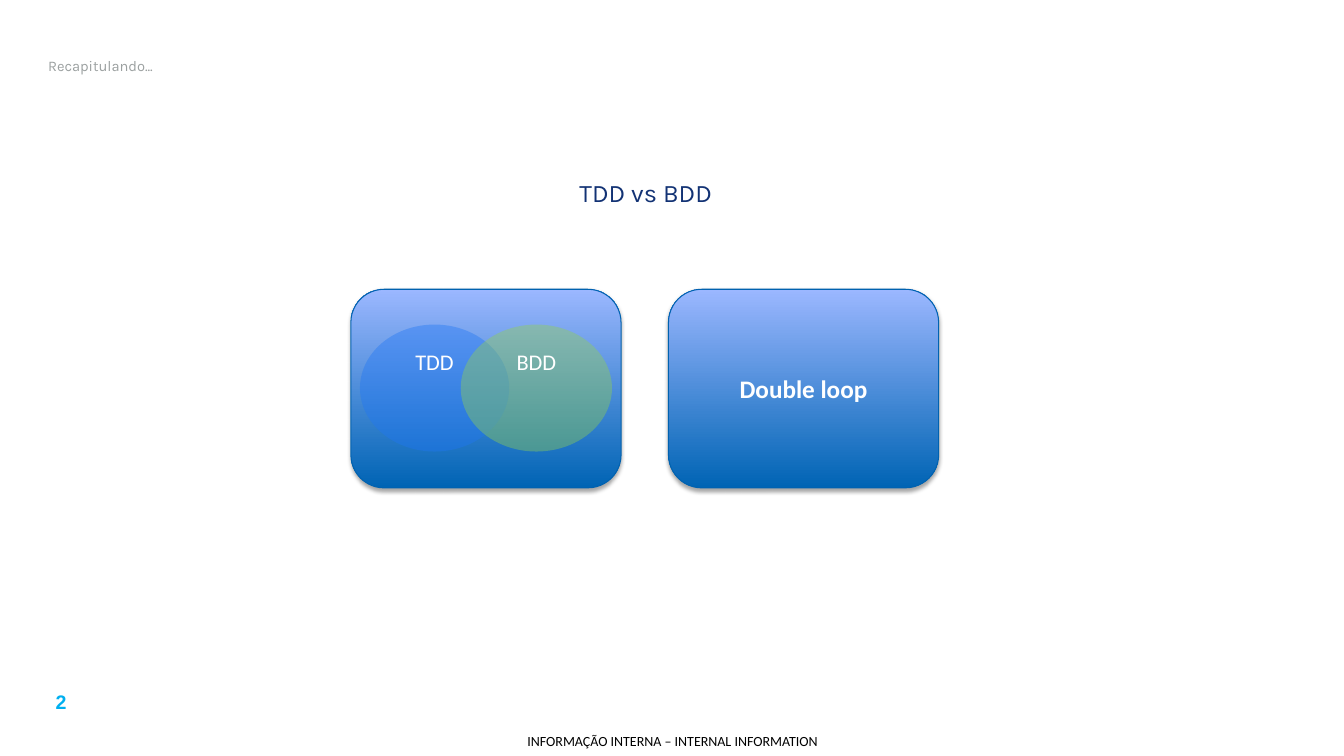
"""Build the TDD vs BDD recap slide."""
from lxml import etree
from pptx import Presentation
from pptx.dml.color import RGBColor
from pptx.enum import shapes, text
from pptx.oxml import ns
from pptx.util import Inches, Pt

WHITE = RGBColor(0xFF, 0xFF, 0xFF)
BLACK = RGBColor(0, 0, 0)
NAVY = RGBColor(0x12, 0x32, 0x74)
GREY = RGBColor(0x9B, 0xA0, 0xA0)
CYAN = RGBColor(0x00, 0xB0, 0xF0)
CARD_BOTTOM = RGBColor(0x00, 0x64, 0xB4)
CARD_TOP = RGBColor(0x9B, 0xB7, 0xFF)
CARD_EDGE = RGBColor(0x00, 0x62, 0xB0)
TDD_BLUE = RGBColor(0x1F, 0x76, 0xF5)
BDD_GREEN = RGBColor(0x92, 0xD0, 0x50)

CENTER = text.PP_ALIGN.CENTER
MIDDLE = text.MSO_ANCHOR.MIDDLE
TOP = text.MSO_ANCHOR.TOP


def write(shape, wording, font, size, color, bold=False, align=CENTER, anchor=MIDDLE):
    """Put one formatted paragraph into a shape."""
    frame = shape.text_frame
    frame.text = wording
    frame.word_wrap = True
    frame.vertical_anchor = anchor
    paragraph = frame.paragraphs[0]
    paragraph.alignment = align
    style = paragraph.runs[0].font
    style.name, style.size, style.bold = font, Pt(size), bold
    style.color.rgb = color


def add_label(slide, box, wording, font, size, color, **options):
    """Add a text box and return it."""
    label = slide.shapes.add_textbox(*map(Inches, box))
    write(label, wording, font, size, color, **options)
    return label


def add_alpha(color_element, percent):
    """Make a colour element partly transparent."""
    etree.SubElement(color_element, ns.qn("a:alpha"), val=str(percent * 1000))


def add_card(slide, left):
    """Add a rounded gradient card with a soft shadow below."""
    card = slide.shapes.add_shape(
        shapes.MSO_SHAPE.ROUNDED_RECTANGLE,
        Inches(left), Inches(2.87), Inches(2.68), Inches(1.97))
    card.fill.gradient()
    card.fill.gradient_angle = 90
    for stop, color in zip(card.fill.gradient_stops, (CARD_BOTTOM, CARD_TOP)):
        stop.color.rgb = color
    card.line.color.rgb = CARD_EDGE
    card.line.width = Pt(0.75)
    card.shadow.inherit = False
    effects = card.element.spPr.find(ns.qn("a:effectLst"))
    shadow = etree.SubElement(
        effects, ns.qn("a:outerShdw"), blurRad=str(Pt(3.1)), dist=str(Pt(1.8)),
        dir="5400000", rotWithShape="0")
    add_alpha(etree.SubElement(shadow, ns.qn("a:srgbClr"), val="000000"), 35)
    return card


def add_circle(venn, left, width, wording, color):
    """Add one translucent ellipse of the Venn diagram."""
    circle = venn.shapes.add_shape(
        shapes.MSO_SHAPE.OVAL, Inches(left), Inches(3.22), Inches(width), Inches(1.26))
    circle.shadow.inherit = False
    circle.fill.solid()
    circle.fill.fore_color.rgb = color
    add_alpha(circle.element.spPr.find(".//" + ns.qn("a:srgbClr")), 40)
    circle.line.fill.background()
    write(circle, wording, "Calibri", 16, WHITE, anchor=TOP)


def main():
    """Compose and save the slide."""
    deck = Presentation()
    deck.slide_width, deck.slide_height = Inches(13.33), Inches(7.5)
    slide = deck.slides.add_slide(deck.slide_layouts[6])

    add_label(slide, (0.21, 6.8, 0.79, 0.34), "2", "Arial", 14, CYAN, bold=True, anchor=TOP)
    notice = add_label(slide, (5.03, 7.21, 3.28, 0.29),
                       "INFORMAÇÃO INTERNA – INTERNAL INFORMATION", "Calibri", 10, BLACK)
    frame = notice.text_frame
    frame.margin_left = frame.margin_right = frame.margin_top = frame.margin_bottom = 0

    add_card(slide, 3.48)
    add_label(slide, (0.37, 1.56, 12.07, 0.69), "TDD vs BDD", "Karla", 18, NAVY)
    add_label(slide, (0.38, 0.41, 11.88, 0.48), "Recapitulando...", "Karla", 10.5, GREY,
              align=text.PP_ALIGN.LEFT)
    write(add_card(slide, 6.63), "Double loop", "Calibri", 18, WHITE, bold=True)

    venn = slide.shapes.add_group_shape()
    add_circle(venn, 3.57, 1.48, "TDD", TDD_BLUE)
    add_circle(venn, 4.57, 1.5, "BDD", BDD_GREEN)

    deck.save("out.pptx")


if __name__ == "__main__":
    main()
